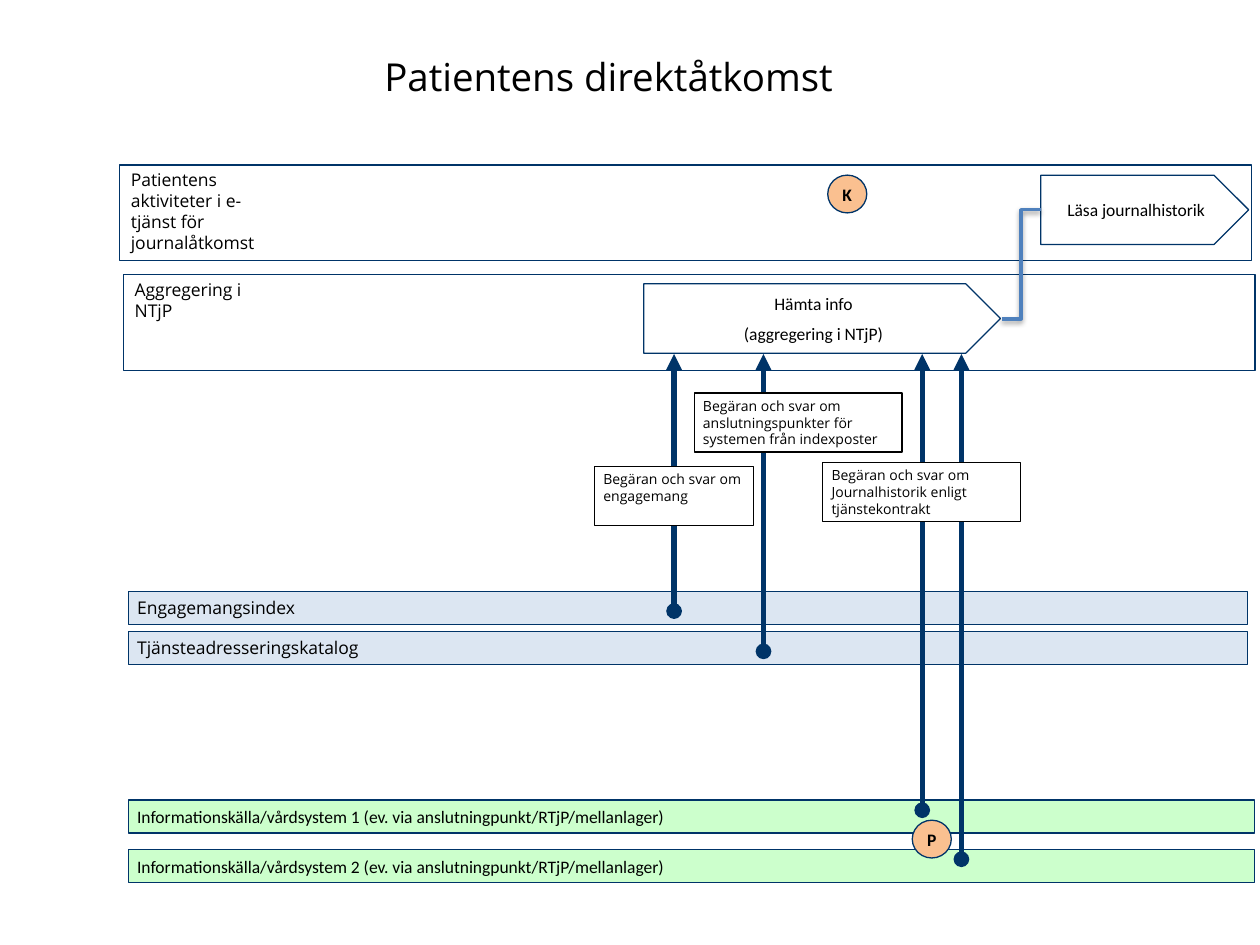
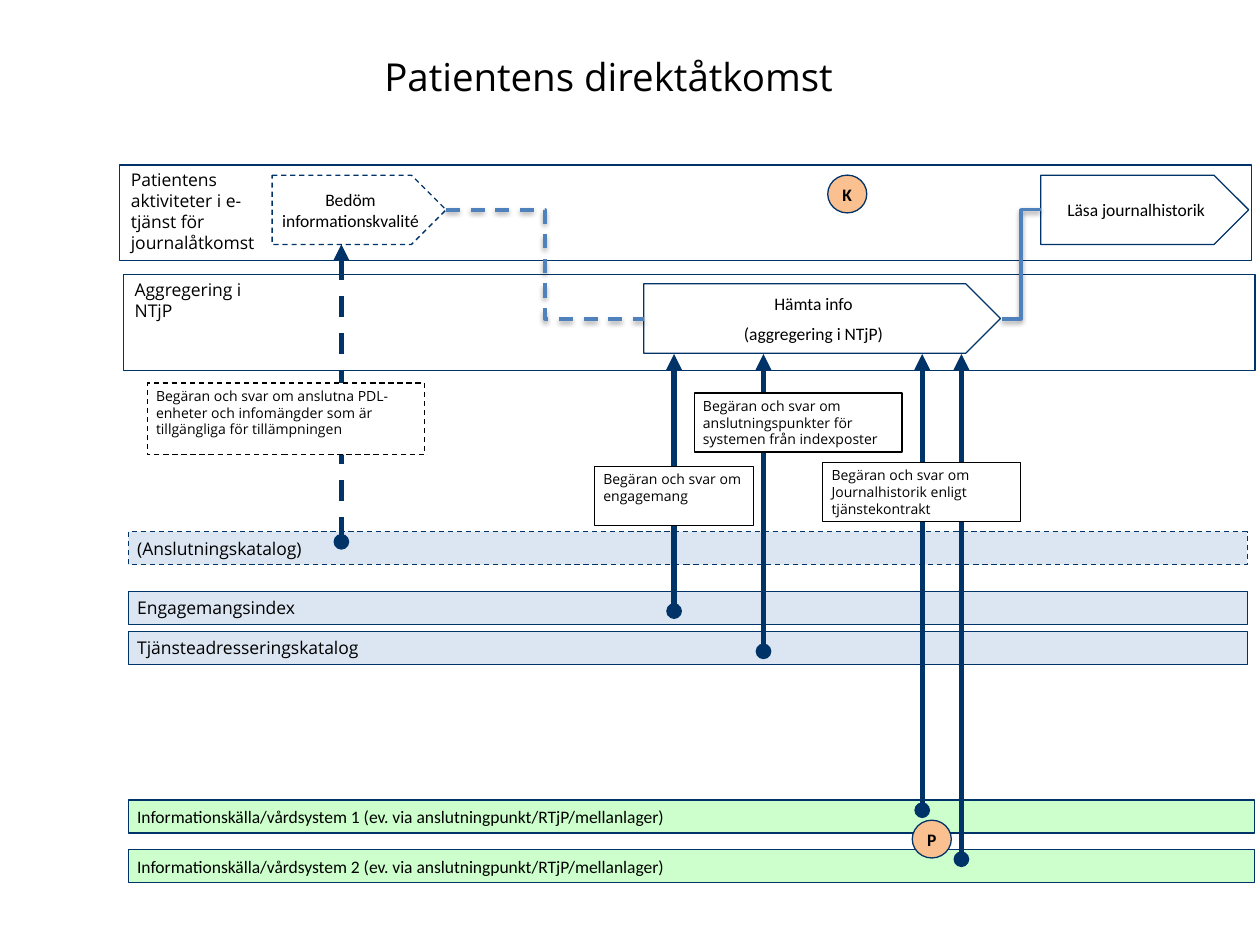
from lxml import etree
from pptx import Presentation
from pptx.dml.color import RGBColor
from pptx.enum import dml, shapes, text
from pptx.oxml import ns
from pptx.util import Pt

C = {"navy": "003468", "blue": "4F81BD", "pale": "DCE6F2", "green": "CCFFCC",
     "peach": "FAC090", "white": "FFFFFF", "black": "000000"}
RECT, PLATE, OVAL = (shapes.MSO_SHAPE.RECTANGLE, shapes.MSO_SHAPE.PENTAGON,
                     shapes.MSO_SHAPE.OVAL)
STRAIGHT, ELBOW = shapes.MSO_CONNECTOR.STRAIGHT, shapes.MSO_CONNECTOR.ELBOW
TOP, MIDDLE = text.MSO_ANCHOR.TOP, text.MSO_ANCHOR.MIDDLE
LEFT, CENTER = text.PP_ALIGN.LEFT, text.PP_ALIGN.CENTER
TITLE = "Patientens direktåtkomst"
SANS, BODY = "Open Sans", "Calibri"


def add_box(s, kind, at, lines=(), fill=None, line="navy", dash=False,
            font=BODY, size=10, bold=False, align=LEFT, anchor=MIDDLE):
    at = [Pt(v) for v in at]
    if kind is None:
        sp = s.shapes.add_textbox(*at)
    else:
        sp = s.shapes.add_shape(kind, *at)
        sp.shadow.inherit = False
        sp.line.color.rgb = RGBColor.from_string(C[line])
        sp.line.width = Pt(0.75)
        if dash:
            sp.line.dash_style = dml.MSO_LINE.DASH
        if fill:
            sp.fill.solid()
            sp.fill.fore_color.rgb = RGBColor.from_string(C[fill])
        else:
            sp.fill.background()
    tf = sp.text_frame
    tf.word_wrap = True
    tf.vertical_anchor = anchor
    tf.margin_left = tf.margin_right = Pt(5)
    tf.margin_top = tf.margin_bottom = Pt(2.5)
    for i, words in enumerate(lines):
        p = tf.add_paragraph() if i else tf.paragraphs[0]
        p.alignment = align
        p.space_before = Pt(5 if i else 0)
        r = p.add_run()
        r.text = words
        r.font.name, r.font.size, r.font.bold = font, Pt(size), bold
        r.font.color.rgb = RGBColor.from_string(C["black"])


def add_link(s, kind, x1, y1, x2, y2, dash=False):
    cn = s.shapes.add_connector(kind, Pt(x1), Pt(y1), Pt(x2), Pt(y2))
    elbow = kind == ELBOW
    cn.line.color.rgb = RGBColor.from_string(C["blue" if elbow else "navy"])
    cn.line.width = Pt(2 if elbow else 3)
    if dash:
        cn.line.dash_style = dml.MSO_LINE.DASH
    pr = cn._element.spPr
    effects = etree.SubElement(pr, ns.qn("a:effectLst"))
    if elbow:
        shadow = etree.SubElement(effects, ns.qn("a:outerShdw"), blurRad=str(Pt(3.1)),
                                  dist=str(Pt(1.6)), dir="5400000", rotWithShape="0")
        color = etree.SubElement(shadow, ns.qn("a:srgbClr"), val=C["black"])
        etree.SubElement(color, ns.qn("a:alpha"), val="38000")
    else:
        ln = pr.find(ns.qn("a:ln"))
        etree.SubElement(ln, ns.qn("a:headEnd"), type="triangle")
        etree.SubElement(ln, ns.qn("a:tailEnd"), type="oval")


SOURCE = "Informationskälla/vårdsystem {} (ev. via anslutningpunkt/RTjP/mellanlager)"
bars = [
    (303.8, 639.4, "(Anslutningskatalog)", "pale", SANS, True),
    (337.9, 639.4, "Engagemangsindex", "pale", SANS, False),
    (360.8, 639.4, "Tjänsteadresseringskatalog", "pale", SANS, False),
    (457.2, 643.7, SOURCE.format(1), "green", BODY, False),
    (485.5, 643.7, SOURCE.format(2), "green", BODY, False),
]
lanes = [
    (68.4, 94.3, 69.8, 87.8, "Patientens aktiviteter i e-tjänst för journalåtkomst"),
    (70.6, 157, 72, 79.2, "Aggregering i NTjP"),
]
plates = [
    (155.5, 100.1, 99.4, ["Bedöm informationskvalité"], True),
    (367.9, 162.2, 203.8, ["Hämta info", "(aggregering i NTjP)"], False),
    (594.7, 100.1, 118.8, ["Läsa journalhistorik"], False),
]
elbows = [
    (254.9, 119.9, 367.9, 182.2, True),
    (572.4, 182.2, 594.7, 119.9, False),
]
arrows = [
    (195.1, 139.7, 309.6, True),
    (385.2, 202.3, 349.2, False),
    (436.3, 202.3, 372.2, False),
    (527, 202.3, 463, False),
    (549.4, 202.3, 491, False),
]
notes = [
    (84.2, 218.9, 158.4, 41, "anslutna PDL-enheter och infomängder som är "
     "tillgängliga för tillämpningen", True),
    (339.8, 266.4, 90.7, 33.8, "engagemang", False),
    (396.7, 224.6, 118.8, 33.8, "anslutningspunkter för systemen från indexposter", False),
    (470.2, 264.2, 113, 33.8, "Journalhistorik enligt tjänstekontrakt", False),
]
badges = [("P", 521.3, 468.7), ("K", 473, 100.1)]

prs = Presentation()
prs.slide_width, prs.slide_height = Pt(720), Pt(540)

for with_optional in (False, True):
    s = prs.slides.add_slide(prs.slide_layouts[5])
    sp = s.shapes.title
    sp.left, sp.top, sp.width, sp.height = Pt(212.4), Pt(20.9), Pt(478.8), Pt(45.4)
    tf = sp.text_frame
    tf.vertical_anchor = MIDDLE
    p = tf.paragraphs[0]
    p.alignment = LEFT
    r = p.add_run()
    r.text = TITLE
    r.font.name, r.font.size = SANS, Pt(22)
    r.font.color.rgb = RGBColor.from_string(C["black"])

    for x, y, text_x, text_w, words in lanes:
        add_box(s, RECT, (x, y, 646.6, 54.7))
        add_box(s, None, (text_x, y, text_w, 53.3), [words], font=SANS, anchor=TOP)
    for y, w, words, fill, font, optional in bars:
        if with_optional or not optional:
            add_box(s, RECT, (73.4, y, w, 18.9), [words], fill, dash=optional, font=font)
    for x, y, w, lines, optional in plates:
        if with_optional or not optional:
            add_box(s, PLATE, (x, y, w, 39.6), lines, "white", dash=optional, align=CENTER)
    for x1, y1, x2, y2, optional in elbows:
        if with_optional or not optional:
            add_link(s, ELBOW, x1, y1, x2, y2, optional)
    for x, y1, y2, optional in arrows:
        if with_optional or not optional:
            add_link(s, STRAIGHT, x, y1, x, y2, optional)
    for x, y, w, h, subject, optional in notes:
        if with_optional or not optional:
            add_box(s, RECT, (x, y, w, h), ["Begäran och svar om " + subject], "white",
                    "black", optional, SANS, 8, anchor=TOP)
    for letter, x, y in badges:
        add_box(s, OVAL, (x, y, 22.3, 21.6), [letter], "peach", bold=True, align=CENTER)

prs.save("out.pptx")
